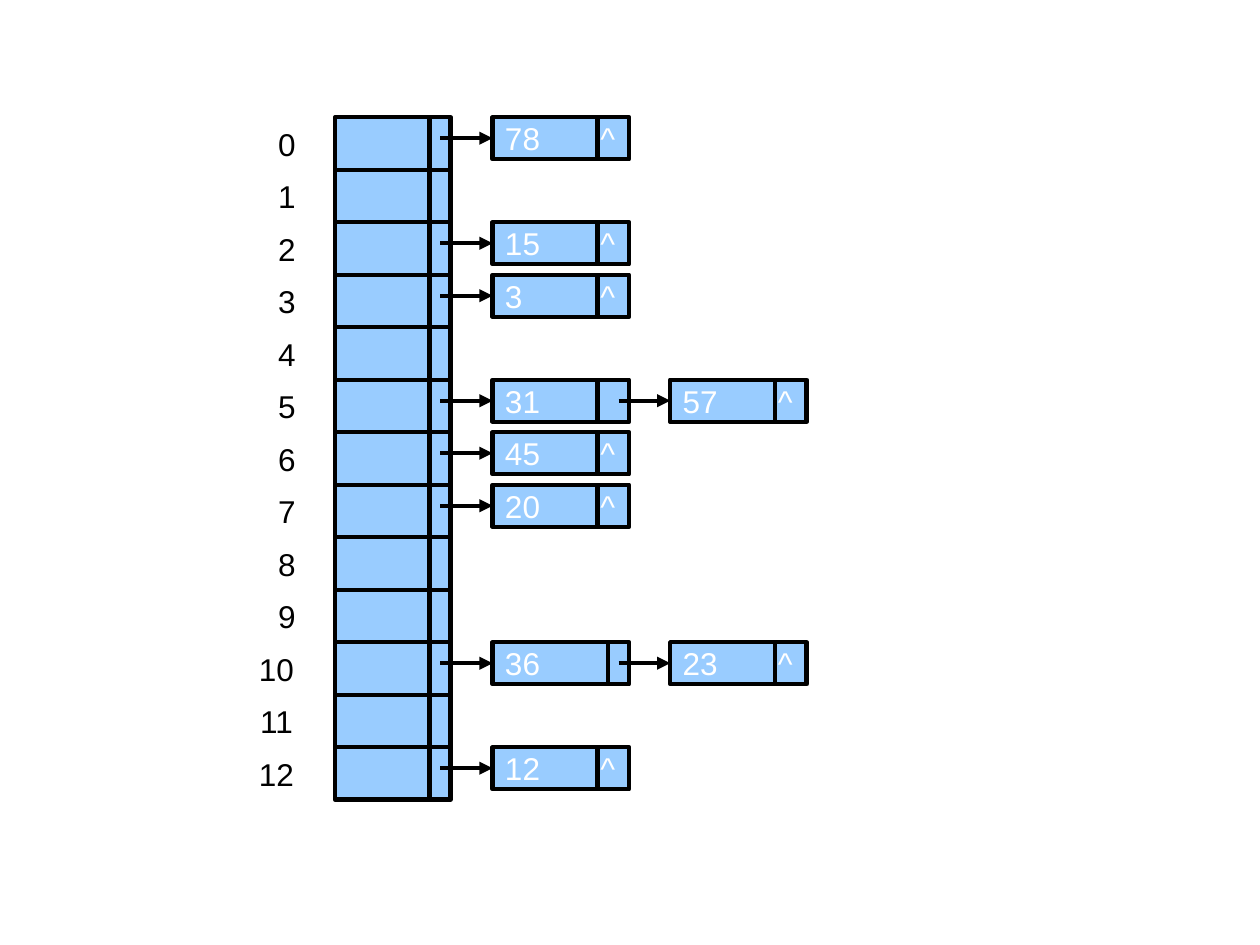
from lxml.etree import SubElement
from pptx import Presentation
from pptx.dml.color import RGBColor
from pptx.enum.shapes import MSO_CONNECTOR, MSO_SHAPE
from pptx.enum.text import MSO_ANCHOR, MSO_AUTO_SIZE, PP_ALIGN
from pptx.oxml.ns import qn
from pptx.util import Pt

COLORS = {"cell": "99CCFF", "ink": "000000", "value": "FFFFFF"}

TABLE_LEFT, TABLE_TOP, TABLE_WIDTH = 191.5, 67, 66
ROW_HEIGHT, ROW_COUNT = 30, 13
POINTER_X = 245.5
LABEL_RIGHT = 179
NODE_LEFT, NODE_STEP = 281.5, 101.5
NODE_WIDTH, NODE_HEIGHT = 78, 24
DIVIDER, WIDE_DIVIDER = 60, 66
LINK_INSET = 6
CARET_TAB = 54.5

CHAINS = {
    0: [78],
    2: [15],
    3: [3],
    5: [31, 57],
    6: [45],
    7: [20],
    10: [36, 23],
    12: [12],
}


class Diagram:
    font_name = "Arial"
    font_size = 18
    line_width = 2.5

    def __init__(self, page):
        self.page = page

    def color(self, name):
        return RGBColor.from_string(COLORS[name])

    def style_text(self, paragraph, color):
        paragraph.font.name = self.font_name
        paragraph.font.size = Pt(self.font_size)
        paragraph.font.color.rgb = self.color(color)

    def box(self, left, top, width, height):
        box = self.page.shapes.add_shape(
            MSO_SHAPE.RECTANGLE, Pt(left), Pt(top), Pt(width), Pt(height)
        )
        box.shadow.inherit = False
        box.fill.solid()
        box.fill.fore_color.rgb = self.color("cell")
        box.line.color.rgb = self.color("ink")
        box.line.width = Pt(self.line_width)
        return box

    def line(self, start_x, start_y, end_x, end_y, arrow=False):
        line = self.page.shapes.add_connector(
            MSO_CONNECTOR.STRAIGHT, Pt(start_x), Pt(start_y), Pt(end_x), Pt(end_y)
        )
        line.line.color.rgb = self.color("ink")
        line.line.width = Pt(self.line_width)
        properties = line._element.spPr
        if arrow:
            SubElement(properties.find(qn("a:ln")), qn("a:tailEnd"), type="triangle")
        SubElement(properties, qn("a:effectLst"))

    def label(self, text, right, top, width):
        box = self.page.shapes.add_textbox(
            Pt(right - width), Pt(top), Pt(width), Pt(29)
        )
        frame = box.text_frame
        frame.word_wrap = True
        frame.auto_size = MSO_AUTO_SIZE.SHAPE_TO_FIT_TEXT
        frame.text = text
        paragraph = frame.paragraphs[0]
        paragraph.alignment = PP_ALIGN.CENTER
        self.style_text(paragraph, "ink")

    def node(self, value, left, top, divider, is_last):
        frame = self.box(left, top, NODE_WIDTH, NODE_HEIGHT).text_frame
        frame.word_wrap = True
        frame.vertical_anchor = MSO_ANCHOR.MIDDLE
        frame.margin_right = 0
        frame.text = f"{value}\t^" if is_last else str(value)
        paragraph = frame.paragraphs[0]
        paragraph.alignment = PP_ALIGN.LEFT
        if is_last:
            tabs = SubElement(paragraph._p.get_or_add_pPr(), qn("a:tabLst"))
            SubElement(tabs, qn("a:tab"), pos=str(Pt(CARET_TAB)), algn="l")
        self.style_text(paragraph, "value")
        self.line(left + divider, top, left + divider, top + NODE_HEIGHT)

    def chain(self, values, top, first_divider):
        link_start = TABLE_LEFT + TABLE_WIDTH - LINK_INSET
        middle = top + NODE_HEIGHT / 2
        for index, value in enumerate(values):
            left = NODE_LEFT + index * NODE_STEP
            divider = DIVIDER if index else first_divider
            self.node(value, left, top, divider, index == len(values) - 1)
            self.line(link_start, middle, left, middle, arrow=True)
            link_start = left + NODE_WIDTH - LINK_INSET

    def table(self):
        bottom = TABLE_TOP + ROW_COUNT * ROW_HEIGHT
        self.box(TABLE_LEFT, TABLE_TOP, TABLE_WIDTH, bottom - TABLE_TOP)
        self.line(POINTER_X, TABLE_TOP, POINTER_X, bottom)
        for row in range(ROW_COUNT):
            top = TABLE_TOP + row * ROW_HEIGHT
            if row:
                self.line(TABLE_LEFT, top, TABLE_LEFT + TABLE_WIDTH, top)
            self.label(str(row), LABEL_RIGHT, top + 0.8, 30 if row < 10 else 42)


def main():
    deck = Presentation()
    deck.slide_width, deck.slide_height = Pt(720), Pt(540)
    diagram = Diagram(deck.slides.add_slide(deck.slide_layouts[6]))
    diagram.table()
    for row, values in CHAINS.items():
        divider = WIDE_DIVIDER if row == 10 else DIVIDER
        diagram.chain(values, TABLE_TOP + row * ROW_HEIGHT, divider)
    deck.save("out.pptx")


if __name__ == "__main__":
    main()
